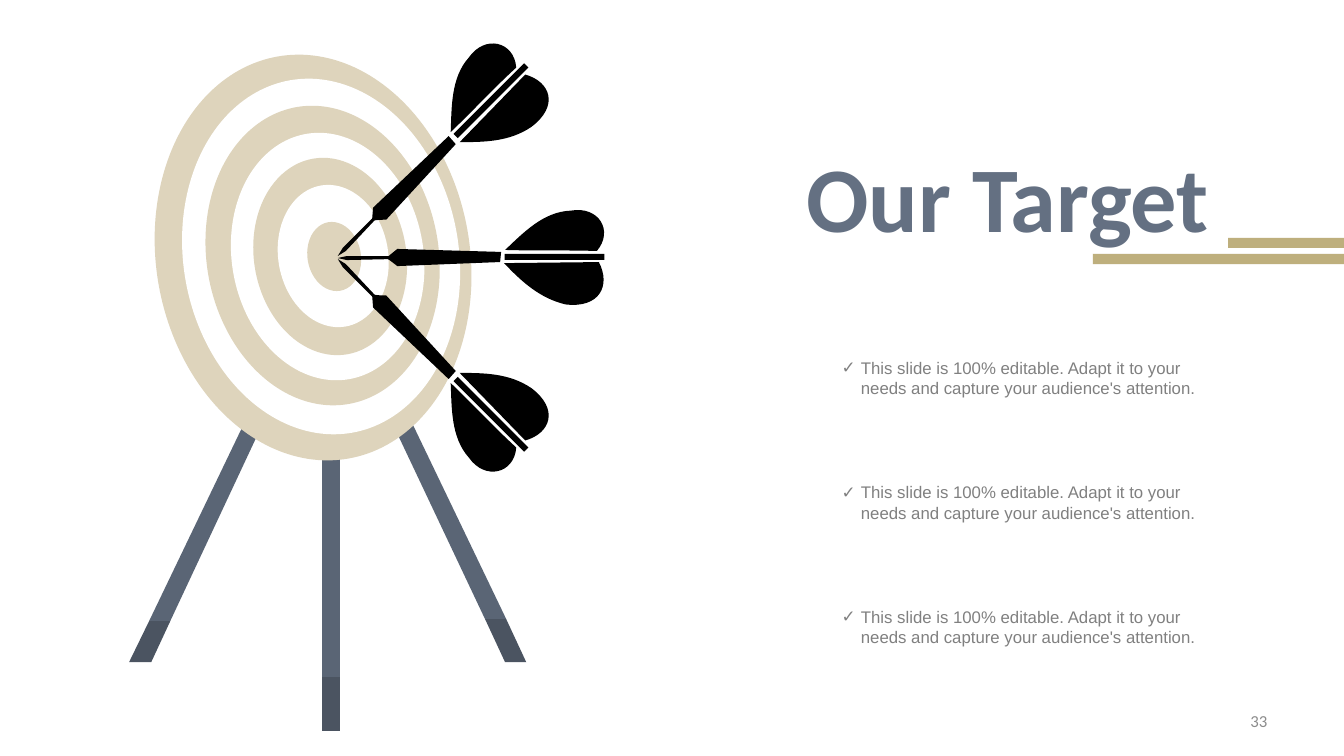
from math import cos, radians, sin

from lxml import etree
from pptx import Presentation
from pptx.dml.color import RGBColor
from pptx.enum.shapes import MSO_SHAPE
from pptx.enum.text import MSO_ANCHOR, MSO_AUTO_SIZE, PP_ALIGN
from pptx.oxml.ns import qn
from pptx.util import Inches, Pt

RECT, ELLIPSE = MSO_SHAPE.RECTANGLE, MSO_SHAPE.OVAL
TOP, MIDDLE = MSO_ANCHOR.TOP, MSO_ANCHOR.MIDDLE
LEFT, RIGHT = PP_ALIGN.LEFT, PP_ALIGN.RIGHT
GROW, FIXED = MSO_AUTO_SIZE.SHAPE_TO_FIT_TEXT, MSO_AUTO_SIZE.NONE

BLACK = RGBColor(0x00, 0x00, 0x00)
WHITE = RGBColor(0xFF, 0xFF, 0xFF)
SAND = RGBColor(0xDE, 0xD4, 0xBC)
GOLD = RGBColor(0xBE, 0xAF, 0x7D)
LEG = RGBColor(0x5A, 0x65, 0x75)
FOOT = RGBColor(0x4B, 0x54, 0x61)
TITLE = RGBColor(0x64, 0x70, 0x82)
BODY = RGBColor(0x80, 0x80, 0x80)
NUMBER = RGBColor(0x8C, 0x8C, 0x8C)

MESSAGE = ("This slide is 100% editable. Adapt it to your needs "
           "and capture your audience's attention.")
MIRROR_SUM = 5.11
CURVE_STEPS = 16

LEGS = [
    (FOOT, [(1.48, 6.16), (1.69, 6.16), (1.5, 6.57), (1.28, 6.57)]),
    (LEG, [(2.65, 4.11), (1.69, 6.16), (1.48, 6.16), (2.46, 4.12)]),
    (FOOT, [(3.19, 6.72), (3.37, 6.72), (3.37, 7.25), (3.19, 7.25)]),
    (LEG, [(3.19, 4.29), (3.37, 4.29), (3.37, 6.72), (3.19, 6.72)]),
    (FOOT, [(4.81, 6.14), (5.02, 6.14), (5.22, 6.57), (5.01, 6.57)]),
    (LEG, [(3.85, 4.11), (4.05, 4.12), (5.02, 6.14), (4.81, 6.14)]),
]

RINGS = [
    (1.55, 0.53, 3.11, 4.05), (1.82, 0.77, 2.73, 3.55),
    (2.05, 1.04, 2.3, 2.99), (2.3, 1.31, 1.9, 2.47),
    (2.52, 1.56, 1.51, 1.97), (2.76, 1.83, 1.09, 1.42),
    (3.05, 2.2, 0.53, 0.69),
]

LEVEL_DART = [
    (45, [(5, 2.61), (5.94, 2.6), (6.06, 2.83, 5.95, 3.06, 5.61, 3.02),
          (5.35, 2.96, 5.16, 2.78, 5, 2.61)]),
    (90, [(3.35, 2.56), (3.44, 2.54), (3.91, 2.54), (3.91, 2.57), (3.44, 2.58)]),
    (271.6, [(5.01, 2.48), (5.19, 2.31, 5.39, 2.1, 5.66, 2.09),
             (5.94, 2.04, 6.09, 2.29, 5.92, 2.49),
             (5.6, 2.48, 5.34, 2.49, 5.01, 2.48)]),
    (90.4, [(4.97, 2.5), (4.96, 2.6), (3.94, 2.64),
            (3.9, 2.61, 3.88, 2.59, 3.83, 2.56), (3.94, 2.47)]),
]

RISING_DART = [
    (314.99, [(3.35, 2.57), (3.4, 2.65), (3.73, 2.98), (3.75, 2.96), (3.43, 2.62)]),
    (133.4, [(4.47, 3.8), (4.48, 4.04, 4.47, 4.34, 4.65, 4.54),
             (4.81, 4.77, 5.1, 4.7, 5.12, 4.44),
             (4.88, 4.22, 4.71, 4.03, 4.47, 3.8)]),
    (314.6, [(4.45, 3.76), (4.52, 3.68), (3.83, 2.93),
             (3.77, 2.93, 3.75, 2.93, 3.69, 2.92), (3.7, 3.05)]),
    (0, [(4.56, 3.7), (5.21, 4.37), (5.46, 4.3, 5.55, 4.06, 5.27, 3.85),
         (5.05, 3.7, 4.79, 3.7, 4.56, 3.7)]),
]


def paint(sp, color):
    sp.shadow.inherit = False
    sp.fill.solid()
    sp.fill.fore_color.rgb = color
    sp.line.fill.background()


def add_preset(shapes, kind, box, color, rotation=0):
    sp = shapes.add_shape(kind, *map(Inches, box))
    sp.rotation = rotation
    paint(sp, color)


def pairs(segment):
    return list(zip(segment[::2], segment[1::2]))


def turn(point, angle):
    (x, y), a = point, radians(angle)
    return x * cos(a) - y * sin(a), x * sin(a) + y * cos(a)


def curve_points(*controls):
    for step in range(1, CURVE_STEPS + 1):
        t = step / CURVE_STEPS
        weights = ((1 - t) ** 3, 3 * t * (1 - t) ** 2, 3 * t * t * (1 - t), t ** 3)
        yield tuple(sum(w * v for w, v in zip(weights, axis)) for axis in zip(*controls))


def write_segments(sp, segments):
    outline = sp._element.find(".//" + qn("a:path"))
    for child in list(outline):
        outline.remove(child)
    for i, points in enumerate(segments):
        tag = "a:moveTo" if i == 0 else "a:lnTo" if len(points) == 1 else "a:cubicBezTo"
        command = etree.SubElement(outline, qn(tag))
        for x, y in points:
            etree.SubElement(command, qn("a:pt"), x=str(Inches(x) - sp.left),
                             y=str(Inches(y) - sp.top))
    etree.SubElement(outline, qn("a:close"))


def add_outline(shapes, segments, color, rotation=0):
    upright = [[turn(pt, -rotation) for pt in pairs(seg)] for seg in segments]
    bounds = list(upright[0])
    for points in upright[1:]:
        bounds += points if len(points) == 1 else curve_points(bounds[-1], *points)
    corners = [(Inches(x), Inches(y)) for x, y in bounds]
    builder = shapes.build_freeform(*corners[0])
    builder.add_line_segments(corners[1:], close=True)
    sp = builder.convert_to_shape()
    write_segments(sp, upright)
    x, y = turn((sp.left + sp.width / 2, sp.top + sp.height / 2), rotation)
    sp.left, sp.top = round(x - sp.width / 2), round(y - sp.height / 2)
    sp.rotation = rotation
    paint(sp, color)


def mirror(part):
    rotation, segments = part
    return -rotation % 360, [tuple(MIRROR_SUM - v if i % 2 else v
                                   for i, v in enumerate(seg)) for seg in segments]


def add_dart(shapes, parts, center, rotation):
    for angle, segments in parts:
        add_outline(shapes, segments, BLACK, angle)
    x, y = center
    width, height = 0.06, 0.99
    add_preset(shapes, RECT, (x - width / 2, y - height / 2, width, height),
               BLACK, rotation)


def add_text(shapes, text, box, *, size, color, font, bold=False, align=LEFT,
             anchor=TOP, auto_size=GROW, bullet=None):
    tf = shapes.add_textbox(*map(Inches, box)).text_frame
    tf.word_wrap = True
    tf.auto_size = auto_size
    tf.vertical_anchor = anchor
    p = tf.paragraphs[0]
    p.alignment = align
    if bullet:
        pPr = p._p.get_or_add_pPr()
        pPr.set("marL", str(Inches(0.19)))
        pPr.set("indent", str(Inches(-0.19)))
        etree.SubElement(pPr, qn("a:buFont"), typeface=font)
        etree.SubElement(pPr, qn("a:buChar"), char=bullet)
    r = p.add_run()
    r.text = text
    r.font.name = font
    r.font.size = Pt(size)
    r.font.bold = bold
    r.font.color.rgb = color


def add_target(shapes):
    for color, corners in LEGS:
        add_outline(shapes, corners, color)
    for i, ring in enumerate(RINGS):
        add_preset(shapes, ELLIPSE, ring, WHITE if i % 2 else SAND, 350)
    add_dart(shapes, LEVEL_DART, (5.5, 2.55), 90)
    add_dart(shapes, RISING_DART, (4.87, MIRROR_SUM - 1), 315)
    add_dart(shapes, map(mirror, RISING_DART), (4.87, 1), 45)


def main():
    prs = Presentation()
    prs.slide_width, prs.slide_height = Inches(13.33), Inches(7.5)
    s = prs.slides.add_slide(prs.slide_layouts[6])
    add_target(s.shapes.add_group_shape().shapes)
    for i in range(3):
        add_text(s.shapes, MESSAGE, (8.25, 3.5 + 1.235 * i, 3.8, 0.5),
                 size=12, color=BODY, font="Arial", bullet="✓")
    add_text(s.shapes, "Our Target", (7.9, 1.34, 4.69, 1.21),
             size=66, color=TITLE, font="Calibri", bold=True)
    for left, top in ((10.84, 2.52), (12.18, 2.36)):
        add_preset(s.shapes, RECT, (left, top, 13.33 - left, 0.1), GOLD)
    add_text(s.shapes, "33", (9.56, 6.95, 3.11, 0.4), size=12, color=NUMBER,
             font="Calibri", align=RIGHT, anchor=MIDDLE, auto_size=FIXED)
    prs.save("out.pptx")


if __name__ == "__main__":
    main()
